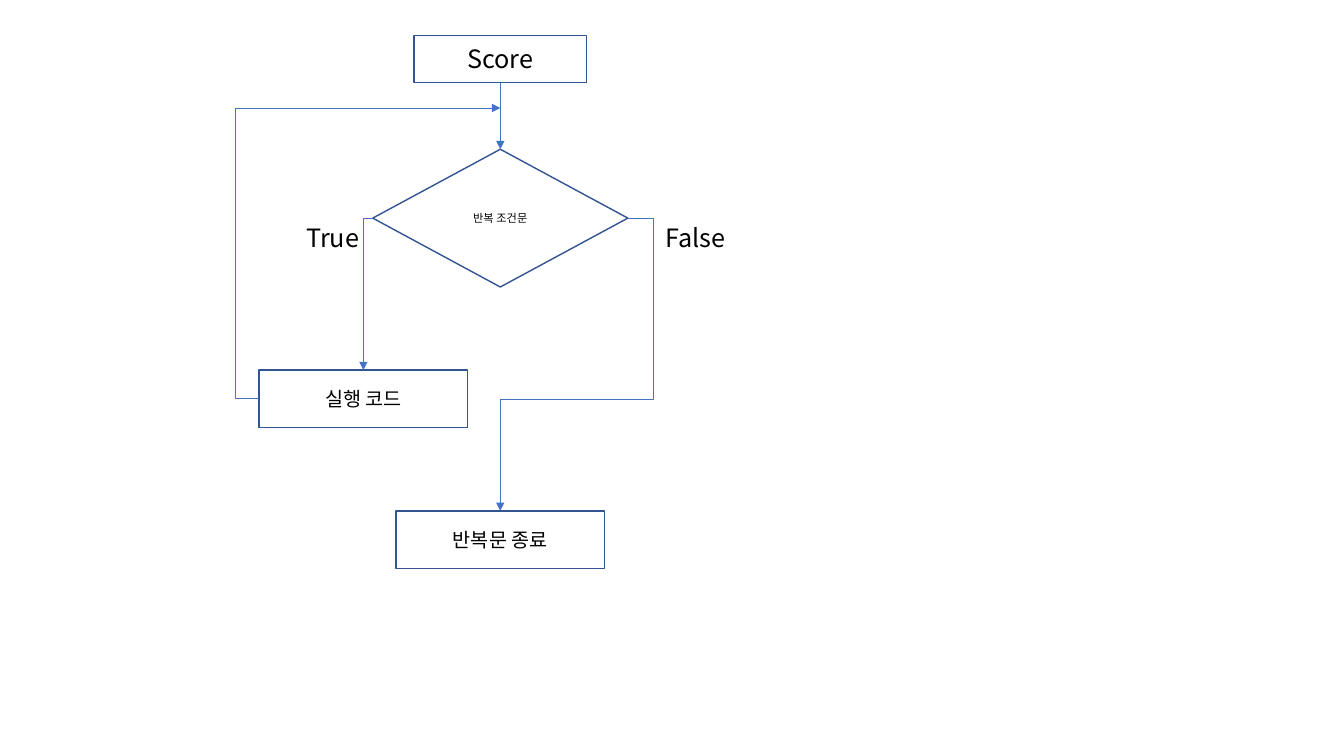
import pptx
import pptx.util
import pptx.dml.color
import pptx.enum.shapes
import pptx.enum.text
import pptx.oxml
import pptx.oxml.ns

Pt = pptx.util.Pt
Kind = pptx.enum.shapes.MSO_SHAPE
Link = pptx.enum.shapes.MSO_CONNECTOR
Align = pptx.enum.text.PP_ALIGN
Anchor = pptx.enum.text.MSO_ANCHOR
Fit = pptx.enum.text.MSO_AUTO_SIZE
qn = pptx.oxml.ns.qn

COLORS = {"edge": "325491", "arrow": "4472C4", "text": "000000"}
FONT = "Noto Sans CJK KR"
TOP, LEFT, BOTTOM, RIGHT = range(4)  # connection sites


class Flow:
    def __init__(self, slide):
        self.slide = slide

    def color(self, name):
        return pptx.dml.color.RGBColor.from_string(COLORS[name])

    def text(self, shape, words, size, align):
        para = shape.text_frame.paragraphs[0]
        para.alignment = align
        run = para.add_run()
        run.text = words
        run.font.size = Pt(size)
        run.font.name = FONT
        run.font.color.rgb = self.color("text")
        east = pptx.oxml.parse_xml(
            f'<a:ea {pptx.oxml.ns.nsdecls("a")} typeface="{FONT}"/>')
        run.font._element.find(qn("a:latin")).addnext(east)

    def node(self, kind, mid, top, width, height, words, size):
        """Outlined shape centred on the vertical line x = mid."""
        shape = self.slide.shapes.add_shape(
            kind, Pt(mid - width / 2), Pt(top), Pt(width), Pt(height))
        shape.shadow.inherit = False
        shape.fill.background()
        shape.line.color.rgb = self.color("edge")
        shape.line.width = Pt(1)
        shape.text_frame.vertical_anchor = Anchor.MIDDLE
        self.text(shape, words, size, Align.CENTER)
        return shape

    def label(self, left, top, words):
        box = self.slide.shapes.add_textbox(Pt(left), Pt(top), Pt(109.5), Pt(24))
        box.text_frame.word_wrap = True
        box.text_frame.auto_size = Fit.SHAPE_TO_FIT_TEXT
        self.text(box, words, 18, Align.LEFT)

    def arrow(self, start, end, preset="straightConnector1", bends=()):
        """Arrow from a (shape, site) pair to another pair or an (x, y) point."""
        kind = Link.STRAIGHT if preset.startswith("straight") else Link.ELBOW
        line = self.slide.shapes.add_connector(kind, 0, 0, 0, 0)
        line.begin_connect(*start)
        if isinstance(end[0], (int, float)):
            line.end_x, line.end_y = Pt(end[0]), Pt(end[1])
        else:
            line.end_connect(*end)
        line.line.color.rgb = self.color("arrow")
        line.line.width = Pt(0.5)

        # Bends, arrowhead and no shadow
        props = line._element.spPr
        shape = props.find(qn("a:prstGeom"))
        shape.set("prst", preset)
        guides = shape.get_or_add_avLst()
        for count, bend in enumerate(bends, 1):
            guide = pptx.oxml.parse_xml(
                f'<a:gd {pptx.oxml.ns.nsdecls("a")} name="adj{count}" '
                f'fmla="val {round(bend * 100000)}"/>')
            guides.append(guide)
        head = pptx.oxml.parse_xml(
            f'<a:tailEnd {pptx.oxml.ns.nsdecls("a")} type="triangle"/>')
        props.find(qn("a:ln")).append(head)
        props.append(pptx.oxml.parse_xml(
            f'<a:effectLst {pptx.oxml.ns.nsdecls("a")}/>'))


def main():
    deck = pptx.Presentation()
    deck.slide_width, deck.slide_height = Pt(960), Pt(540)
    flow = Flow(deck.slides.add_slide(deck.slide_layouts[6]))
    axis, side = 357.4, 259.6  # centre lines of the two columns

    # Steps
    test = flow.node(Kind.DIAMOND, axis, 106.6, 182.2, 98.4, "반복 조건문", 8)
    score = flow.node(Kind.RECTANGLE, axis, 25.2, 123.2, 33.8, "Score", 18)
    done = flow.node(Kind.RECTANGLE, axis, 365, 149, 41, "반복문 종료", 14)
    code = flow.node(Kind.RECTANGLE, side, 264.4, 149, 41, "실행 코드", 14)

    # Branch labels
    flow.label(211.7, 155.5, "True")
    flow.label(468, 155.5, "False")

    # Flow and loop back
    flow.arrow((score, BOTTOM), (test, TOP))
    flow.arrow((test, RIGHT), (done, TOP), "bentConnector4", (-0.2, 0.62))
    flow.arrow((test, LEFT), (code, TOP), "bentConnector2")
    flow.arrow((code, LEFT), (axis, 77.2), "bentConnector4", (-0.1, 1))

    deck.save("out.pptx")


if __name__ == "__main__":
    main()
